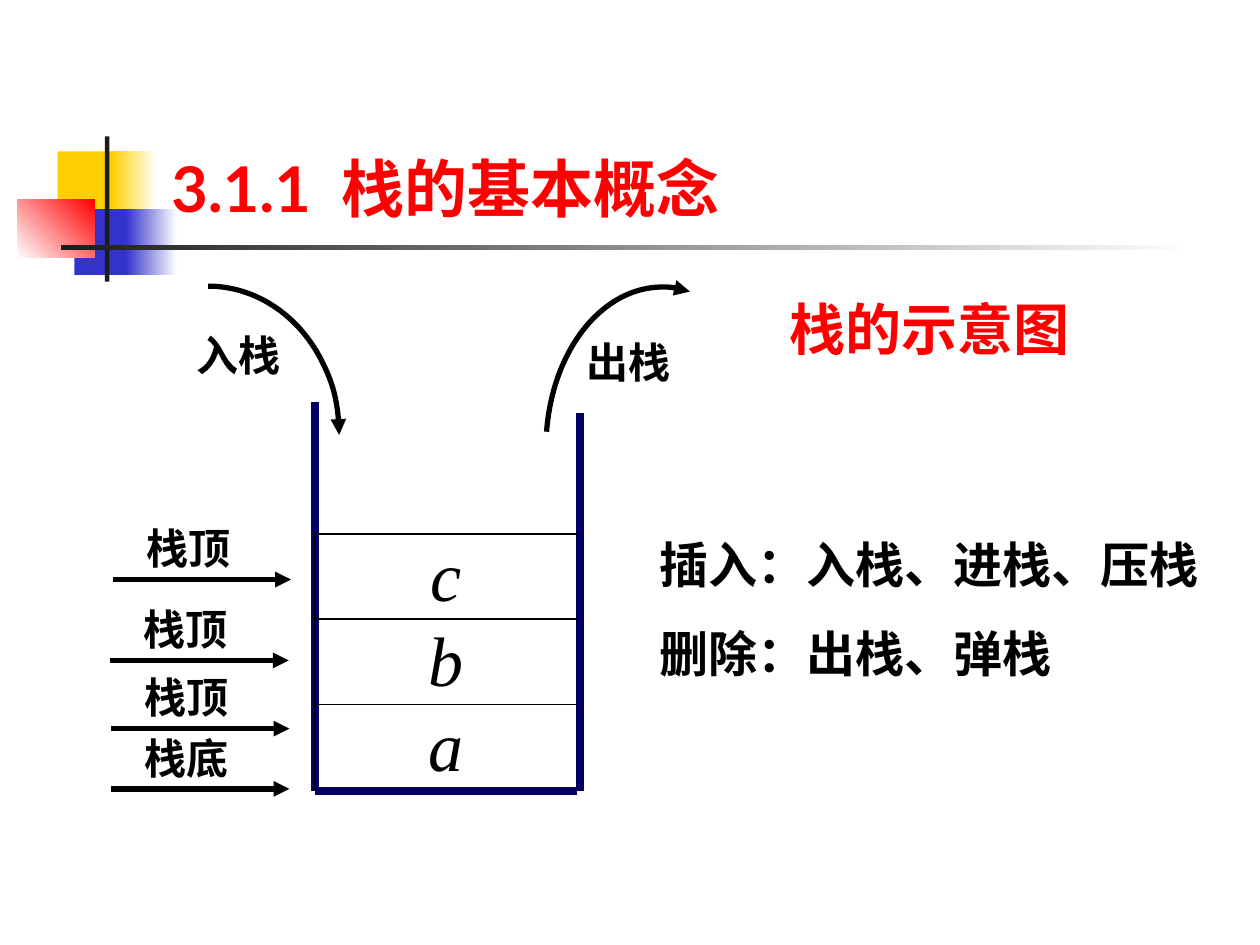
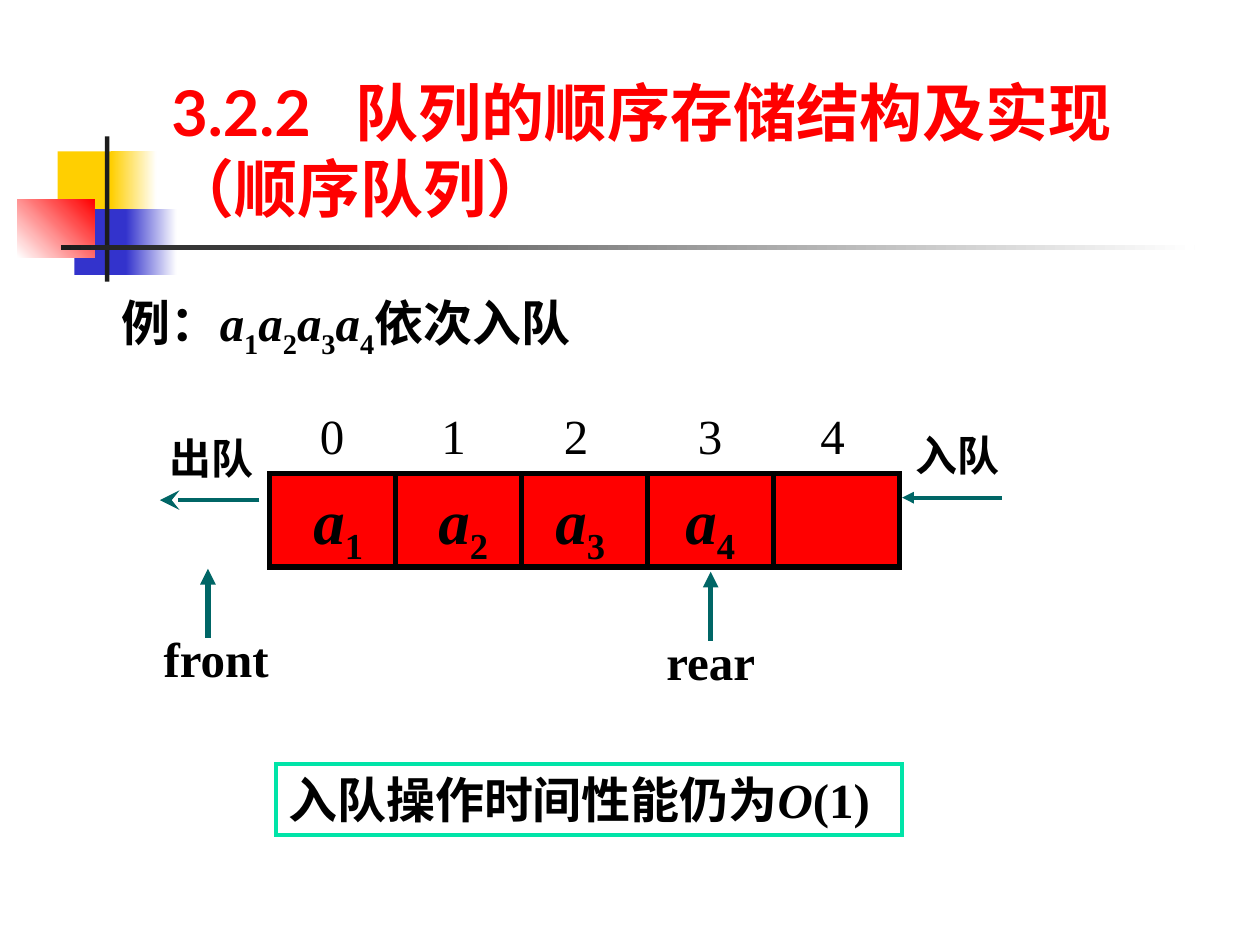
from dataclasses import dataclass

from lxml.etree import SubElement
from pptx import Presentation
from pptx.dml.color import RGBColor as Color
from pptx.enum.shapes import MSO_CONNECTOR as Connector, MSO_SHAPE as Preset
from pptx.enum.text import MSO_ANCHOR as Anchor, MSO_AUTO_SIZE as AutoSize, PP_ALIGN as Align
from pptx.oxml.ns import qn
from pptx.util import Pt


@dataclass(frozen=True)
class Theme:
    red: Color = Color(0xFF, 0x00, 0x00)
    yellow: Color = Color(0xFF, 0xCF, 0x01)
    blue: Color = Color(0x33, 0x33, 0xCC)
    white: Color = Color(0xFF, 0xFF, 0xFF)
    black: Color = Color(0x00, 0x00, 0x00)
    bar: Color = Color(0x1C, 0x1C, 0x1C)
    navy: Color = Color(0x00, 0x00, 0x66)
    teal: Color = Color(0x00, 0x66, 0x66)
    mint: Color = Color(0x00, 0xE4, 0xA8)
    title_font: str = "Lato"
    text_font: str = "Times New Roman"
    title: int = 36
    heading: int = 32
    body: int = 28
    label: int = 24
    item: int = 40
    entry: int = 36


THEME = Theme()


def points(values):
    return [Pt(value) for value in values]


def style_font(paragraph, size, color=THEME.black, bold=True, italic=False, name=THEME.text_font):
    font = paragraph.font
    font.name, font.size, font.bold, font.italic = name, Pt(size), bold, italic
    font.color.rgb = color


def set_tabs(paragraph, stops):
    properties = paragraph._p.get_or_add_pPr()
    tab_list = SubElement(properties, qn("a:tabLst"))
    for stop in stops:
        SubElement(tab_list, qn("a:tab"), pos=str(Pt(stop)), algn="l")


def add_runs(paragraph, runs):
    for text, kind in runs:
        run = paragraph.add_run()
        run.text = text
        if kind == "italic":
            run.font.italic = True
        elif kind == "subscript":
            run._r.get_or_add_rPr().set("baseline", "-25000")


def indexed(letter, number):
    return [(letter, "italic"), (str(number), "subscript")]


def add_text(slide, box, lines, size=THEME.label, color=THEME.black, bold=True, gap=0, tabs=()):
    shape = slide.shapes.add_textbox(*points(box))
    frame = shape.text_frame
    frame.word_wrap = True
    for index, runs in enumerate(lines):
        paragraph = frame.add_paragraph() if index else frame.paragraphs[0]
        if index:
            paragraph.space_before = Pt(gap)
        if tabs:
            set_tabs(paragraph, tabs)
        style_font(paragraph, size, color, bold)
        add_runs(paragraph, [(runs, "plain")] if isinstance(runs, str) else runs)
    return shape


def outline(shape, color, width):
    shape.line.color.rgb = color
    shape.line.width = Pt(width)
    SubElement(shape.element.spPr.find(qn("a:ln")), qn("a:miter"), lim="800000")


def add_box(slide, box, fill=None, fade=None, angle=0, line=None, width=0.75, preset=Preset.RECTANGLE):
    shape = slide.shapes.add_shape(preset, *points(box))
    shape.shadow.inherit = False
    if fade:
        shape.fill.gradient()
        shape.fill.gradient_angle = angle
        for stop, color in zip(shape.fill.gradient_stops, fade):
            stop.color.rgb = color
    elif fill:
        shape.fill.solid()
        shape.fill.fore_color.rgb = fill
    else:
        shape.fill.background()
    if line:
        outline(shape, line, width)
    else:
        shape.line.fill.background()
    return shape


def add_arrowhead(shape, head, size="med"):
    SubElement(shape.element.spPr.find(qn("a:ln")), qn("a:tailEnd"), type=head, w=size, len=size)


def add_line(slide, start, end, color=THEME.black, width=3, head=None, head_size="med"):
    line = slide.shapes.add_connector(Connector.STRAIGHT, *points(start + end))
    line.line.color.rgb = color
    line.line.width = Pt(width)
    if head:
        add_arrowhead(line, head, head_size)
    SubElement(line.element.spPr, qn("a:effectLst"))


def add_arc_arrow(slide, box, start_angle, end_angle):
    arc = add_box(slide, box, line=THEME.black, width=3, preset=Preset.ARC)
    arc.adjustments[0] = start_angle * 0.6
    arc.adjustments[1] = end_angle * 0.6
    add_arrowhead(arc, "triangle")


def decorate_layout(layout, slide):
    bands = [
        ((33, 86.5, 34.5, 37.5), THEME.yellow, None, 0),
        ((63.5, 86.5, 26, 37.5), None, (THEME.yellow, THEME.white), 0),
        ((42.5, 119.5, 33, 37.5), None, (THEME.blue, THEME.blue), 0),
        ((72, 119.5, 29, 37.5), None, (THEME.blue, THEME.white), 0),
        ((10, 113.8, 44, 33.4), None, (THEME.white, THEME.red), 45),
        ((60, 78, 2.5, 83), THEME.bar, None, 0),
        ((34.7, 140.2, 648, 2.5), None, (THEME.bar, THEME.white), 0),
    ]
    for box, fill, fade, angle in bands:
        band = add_box(slide, box, fill, fade, angle)
        layout.element.cSld.spTree.append(band.element)


def set_title(slide, number, text, tab):
    title = slide.shapes.title
    title.left, title.top, title.width, title.height = points((90.7, 17, 613.4, 115.2))
    frame = title.text_frame
    frame.text = f"{number}\t{text}"
    frame.auto_size = AutoSize.NONE
    frame.vertical_anchor = Anchor.BOTTOM
    paragraph = frame.paragraphs[0]
    paragraph.alignment = Align.LEFT
    set_tabs(paragraph, [tab])
    style_font(paragraph, THEME.title, THEME.red, name=THEME.title_font)


def add_stack_item(slide, letter, top):
    item = add_box(slide, (180, top, 150, 48.6), line=THEME.black)
    frame = item.text_frame
    frame.word_wrap = False
    frame.vertical_anchor = Anchor.MIDDLE
    frame.margin_top = 0
    paragraph = frame.paragraphs[0]
    paragraph.alignment = Align.CENTER
    style_font(paragraph, THEME.item, bold=False, italic=True)
    add_runs(paragraph, [(letter, "plain")])


def add_pointer(slide, text, left, top):
    add_line(slide, (left, top), (left + 102, top), head="triangle")
    add_text(slide, (left + 12.2, top - 36, 72, 36), [text])


def add_queue_pointer(slide, text, left, top):
    add_line(slide, (left + 32.4, top + 9), (left + 32.4, top - 30.5), THEME.teal, head="triangle")
    add_text(slide, (left, top, 81.4, 41), [text], THEME.body)


def draw_stack(slide):
    set_title(slide, "3.1.1", "栈的基本概念", 97)
    for start, end in [
        ((180, 230), (180, 452)),
        ((180, 452), (330, 452)),
        ((331.2, 236), (331.2, 452)),
    ]:
        add_line(slide, start, end, THEME.navy, 4.5)
    for index, letter in enumerate("cba"):
        add_stack_item(slide, letter, 305.2 + 48.6 * index)

    add_arc_arrow(slide, (44, 163.5, 149.8, 170), 270, 0)
    add_text(slide, (105, 185, 70.6, 36), ["入栈"])
    add_arc_arrow(slide, (312, 164, 133, 184), 188, 280)
    add_text(slide, (328.3, 188.6, 66.2, 36), ["出栈"])

    for text, left, top in [
        ("栈顶", 64.3, 331.2),
        ("栈顶", 63, 377.4),
        ("栈顶", 63.4, 416.4),
        ("栈底", 63.4, 450.8),
    ]:
        add_pointer(slide, text, left, top)

    add_text(slide, (370, 301.7, 325, 92), ["插入：入栈、进栈、压栈", "删除：出栈、弹栈"], THEME.body, gap=17.5)
    add_text(slide, (444.2, 165, 183.6, 46), ["栈的示意图"], THEME.heading, THEME.red)


def draw_queue(slide):
    set_title(slide, "3.2.2", "队列的顺序存储结构及实现（顺序队列）", 105.5)
    sequence = [run for number in range(1, 5) for run in indexed("a", number)]
    example = [("例：", "plain"), *sequence, ("依次入队", "plain")]
    add_text(slide, (62.6, 163.8, 308, 45.4), [example], THEME.body)

    for index in range(5):
        add_box(slide, (154 + 72 * index, 270.7, 72, 53.3), THEME.red, line=THEME.black, width=3)
    add_text(slide, (175.7, 228.2, 337, 41), ["0\t1\t2\t3\t4"], THEME.body, bold=False, tabs=(69.5, 139.5, 216, 286))
    for number, left in enumerate((172, 243.4, 310.3, 384.5), 1):
        add_text(slide, (left, 271.4, 46, 57), [indexed("a", number)], THEME.entry)

    add_line(slide, (572.4, 284.4), (515.5, 284.4), THEME.teal, 2.25, "triangle")
    add_text(slide, (516.2, 242, 77.8, 36), ["入队"])
    add_line(slide, (148.3, 285.8), (91.4, 285.8), THEME.teal, 2.25, "stealth", "lg")
    add_text(slide, (90, 243.4, 72, 36), ["出队"])

    add_queue_pointer(slide, "front", 86.4, 355.5)
    add_queue_pointer(slide, "rear", 373.7, 357.2)

    conclusion = [("入队操作时间性能仍为", "plain"), ("O", "italic"), ("(1)", "plain")]
    box = add_text(slide, (157.7, 436.4, 357.8, 41), [conclusion], THEME.body)
    outline(box, THEME.mint, 2.25)


def main():
    presentation = Presentation()
    presentation.slide_width, presentation.slide_height = points((720, 540))
    layout = presentation.slide_layouts[5]
    stack_slide = presentation.slides.add_slide(layout)
    queue_slide = presentation.slides.add_slide(layout)
    decorate_layout(layout, stack_slide)
    draw_stack(stack_slide)
    draw_queue(queue_slide)
    presentation.save("out.pptx")


if __name__ == "__main__":
    main()
